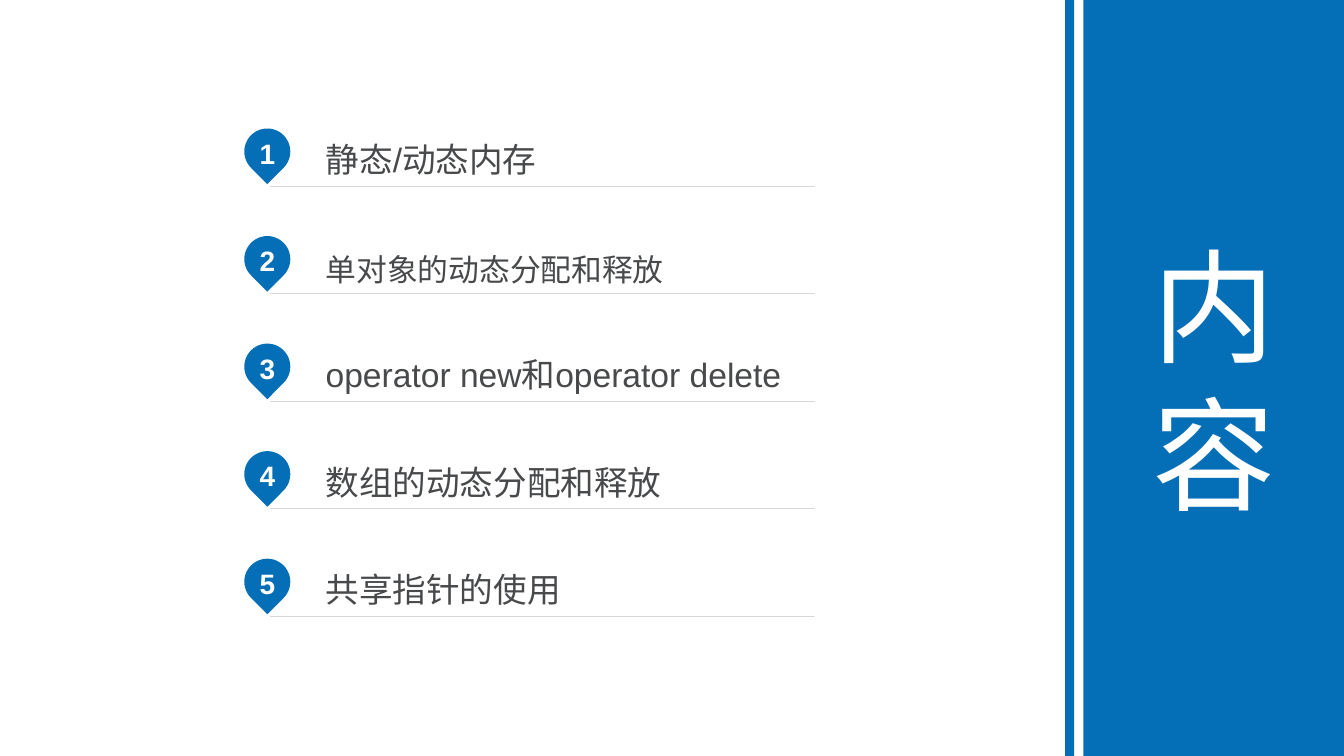
import math
from dataclasses import dataclass

from lxml import etree
from pptx import Presentation
from pptx.dml.color import RGBColor
from pptx.enum import shapes, text
from pptx.oxml import ns
from pptx.util import Cm, Length, Pt

BLUE = RGBColor(0x04, 0x6F, 0xB6)
GREY_TEXT = RGBColor(0x47, 0x49, 0x4B)
GREY_LINE = RGBColor(0xD7, 0xD7, 0xD7)
WHITE = RGBColor(0xFF, 0xFF, 0xFF)

SLIDE_WIDTH, SLIDE_HEIGHT = Cm(33.88), Cm(19.05)
SIDEBAR_LEFT, SIDEBAR_WIDTH = Cm(27.31), Cm(6.6)
ROW_PITCH = Cm(2.71)
PIN_X, PIN_Y, PIN_RADIUS = Cm(6.74), Cm(3.82), Cm(0.58)
ROW_LEFT, ROW_RIGHT, ROW_TOP, ROW_HEIGHT = Cm(6.81), Cm(20.53), Cm(3.28), Cm(1.4)


@dataclass
class Topic:
    label: str
    size: int = 24
    spacing: float = 1.17


TOPICS = [
    Topic("静态/动态内存"),
    Topic("单对象的动态分配和释放", 22, 1.3),
    Topic("operator new和operator delete"),
    Topic("数组的动态分配和释放"),
    Topic("共享指针的使用"),
]


def write(shape, content: str, *, size: int, color: RGBColor, bold: bool = False,
          align=text.PP_ALIGN.CENTER, spacing: float = 1.0, **margins: Length) -> None:
    """Put one formatted, vertically centred paragraph into a shape."""
    frame = shape.text_frame
    frame.word_wrap = True
    frame.auto_size = text.MSO_AUTO_SIZE.NONE
    frame.vertical_anchor = text.MSO_ANCHOR.MIDDLE
    for side, margin in margins.items():
        setattr(frame, f"margin_{side}", margin)
    paragraph = frame.paragraphs[0]
    paragraph.alignment = align
    paragraph.line_spacing = spacing
    run = paragraph.add_run()
    run.text = content
    run.font.name = "Arial"
    run.font.size = Pt(size)
    run.font.bold = bold
    run.font.color.rgb = color


def paint(shape) -> None:
    shape.fill.solid()
    shape.fill.fore_color.rgb = BLUE
    shape.line.fill.background()


def add_pin(slide, number: int, center_y: int) -> None:
    """Draw a round marker that narrows to a point at the bottom."""
    angles = [135, 180, 270, 360, 405]
    corners = [(PIN_X + PIN_RADIUS * math.cos(math.radians(angle)),
                center_y + PIN_RADIUS * math.sin(math.radians(angle)))
               for angle in angles]
    builder = slide.shapes.build_freeform(PIN_X, round(center_y + PIN_RADIUS * math.sqrt(2)))
    builder.add_line_segments(corners, close=True)
    pin = builder.convert_to_shape()

    # Round the head: every segment between two corners becomes an arc
    segments = list(pin._element.iter(ns.qn("a:lnTo")))[1:]
    for segment, start, end in zip(segments, angles, angles[1:]):
        arc = etree.Element(ns.qn("a:arcTo"), {
            "wR": str(PIN_RADIUS), "hR": str(PIN_RADIUS),
            "stAng": str(start % 360 * 60000), "swAng": str((end - start) * 60000)})
        segment.getparent().replace(segment, arc)

    pin.shadow.inherit = False
    paint(pin)
    write(pin, str(number), size=20, color=WHITE, bold=True,
          left=Cm(0.25), right=Cm(0.25), top=Cm(0.13), bottom=Cm(0.3))


def add_topic(slide, topic: Topic, top: int) -> None:
    """Draw a text row that is outlined along its bottom edge only."""
    bottom = top + ROW_HEIGHT
    builder = slide.shapes.build_freeform(ROW_LEFT, bottom)
    builder.add_line_segments([(ROW_RIGHT, bottom)], close=True)
    builder.move_to(ROW_LEFT, top)
    builder.add_line_segments([(ROW_LEFT, top)], close=True)
    row = builder.convert_to_shape()
    row.shadow.inherit = False
    row.fill.background()
    row.line.color.rgb = GREY_LINE
    row.line.width = Pt(0.25)
    write(row, topic.label, size=topic.size, color=GREY_TEXT, align=text.PP_ALIGN.LEFT,
          spacing=topic.spacing, left=Cm(1.4), right=Cm(0), top=Cm(0), bottom=Cm(0.1))


def main() -> None:
    presentation = Presentation()
    presentation.slide_width, presentation.slide_height = SLIDE_WIDTH, SLIDE_HEIGHT
    slide = presentation.slides.add_slide(presentation.slide_layouts[5])

    # Numbered topics
    for index, topic in enumerate(TOPICS):
        add_pin(slide, index + 1, PIN_Y + index * ROW_PITCH)
        add_topic(slide, topic, ROW_TOP + index * ROW_PITCH)

    # Sidebar title and the narrow strip beside it
    title = slide.shapes.title
    title.left, title.top = SIDEBAR_LEFT, 0
    title.width, title.height = SIDEBAR_WIDTH, SLIDE_HEIGHT
    paint(title)
    write(title, "内容", size=88, color=WHITE)
    strip = slide.shapes.add_shape(shapes.MSO_SHAPE.RECTANGLE, Cm(26.85), Cm(-0.05),
                                   Cm(0.23), Cm(19.1))
    strip.shadow.inherit = False
    paint(strip)

    presentation.save("out.pptx")


if __name__ == "__main__":
    main()
